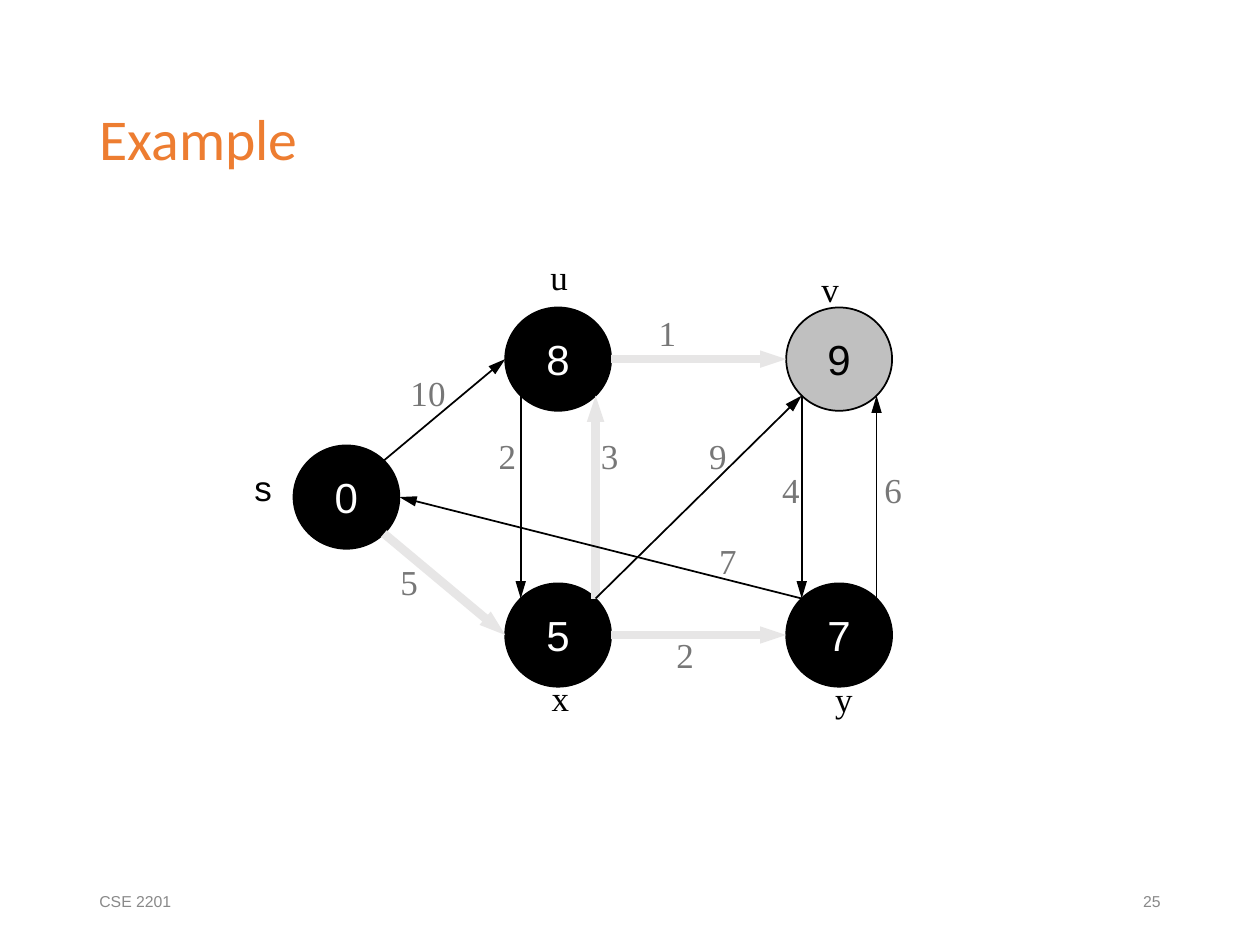
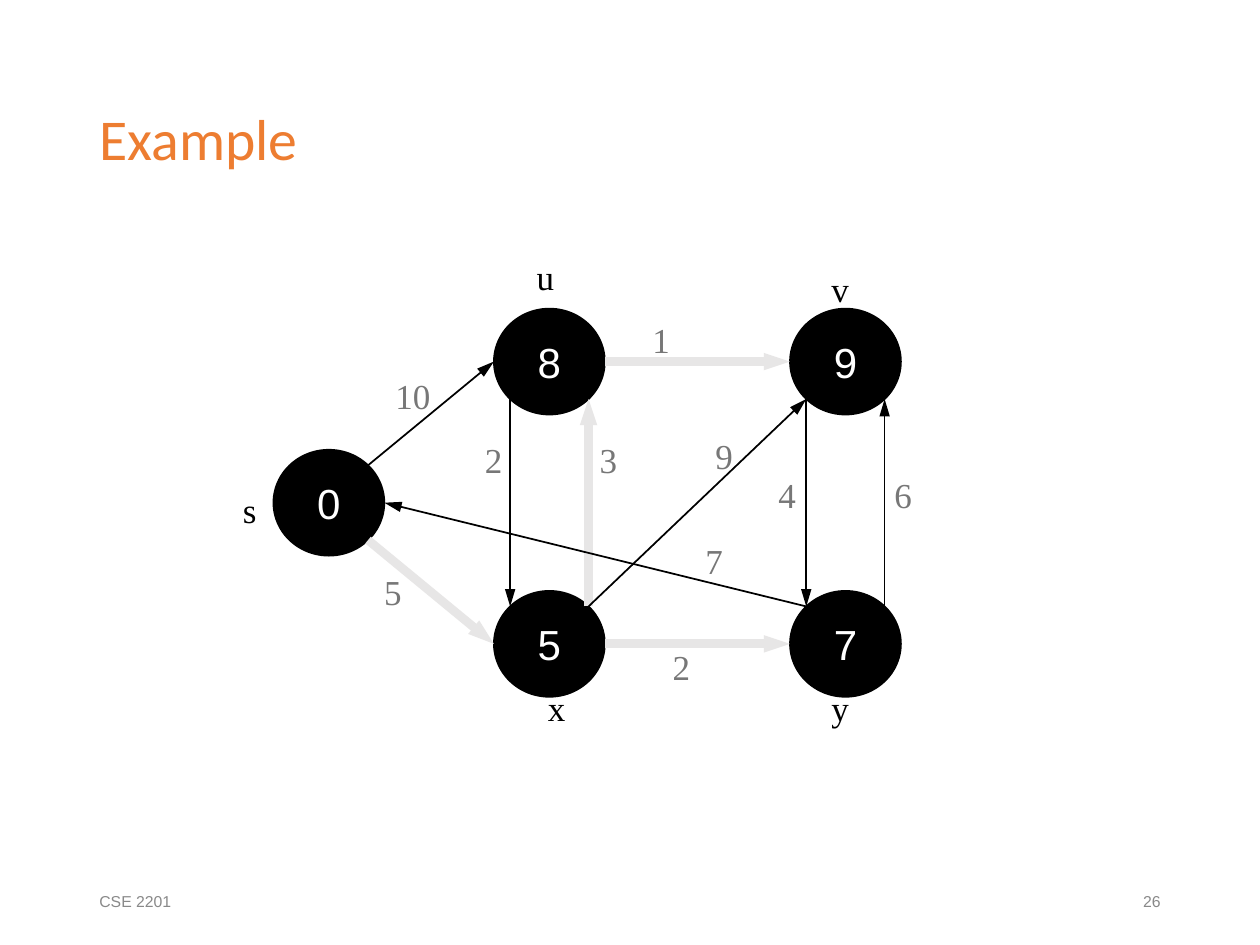
from dataclasses import dataclass
from math import sqrt

from lxml.etree import SubElement
from pptx import Presentation
from pptx.dml.color import RGBColor
from pptx.enum.shapes import MSO_CONNECTOR, MSO_SHAPE
from pptx.enum.text import MSO_ANCHOR, PP_ALIGN
from pptx.oxml.ns import qn
from pptx.util import Inches, Pt

# Colours and fonts
BLACK, WHITE, GRAY = "000000", "FFFFFF", "C0C0C0"
ORANGE, FOOTER_GRAY, WEIGHT_GRAY, TREE_GRAY = "ED7D31", "898989", "777777", "E7E6E6"
SANS, SERIF, TITLE_FONT = "Arial", "Times New Roman", "Calibri"

# Ports on a vertex, as fractions of its radii
DIAGONAL = 1 / sqrt(2)
PORTS = {
    "left": (-1, 0), "right": (1, 0),
    "top left": (-DIAGONAL, -DIAGONAL), "top right": (DIAGONAL, -DIAGONAL),
    "bottom left": (-DIAGONAL, DIAGONAL), "bottom right": (DIAGONAL, DIAGONAL),
}

# Start vertex, port, end vertex, port, weight, part of the shortest-path tree
EDGES = [
    ("x", "top right", "u", "bottom right", "3", True),
    ("u", "bottom left", "x", "top left", "2", False),
    ("u", "right", "v", "left", "1", True),
    ("x", "top right", "v", "bottom left", "9", False),
    ("v", "bottom left", "y", "top left", "4", False),
    ("y", "top right", "v", "bottom right", "6", False),
    ("x", "right", "y", "left", "2", True),
    ("y", "top left", "s", "right", "7", False),
    ("s", "bottom right", "x", "left", "5", True),
    ("s", "top right", "u", "left", "10", False),
]
WIDE_WEIGHTS = ("su", "sx", "uv")
DISTANCES = {"u": "8", "v": "9", "x": "5", "y": "7", "s": "0"}


@dataclass
class Step:
    """One state of the graph: vertex grid, label places and current vertex."""
    number: str
    size: tuple
    columns: tuple      # left edges of s, u/x and v/y
    rows: tuple         # top edges of the upper and lower row
    label_width: float
    names: dict
    weights: dict
    current: str = ""
    source_width: float = 0
    source_font: str = SERIF

    def vertices(self):
        source, middle, last = self.columns
        upper, lower = self.rows
        return {"u": (middle, upper), "v": (last, upper),
                "x": (middle, lower), "y": (last, lower),
                "s": (source, (upper + lower) / 2)}


STEPS = [
    Step("25", (0.84, 0.82), (2.33, 4.01, 6.24), (2.44, 4.63), 0.56,
         names={"u": (4.27, 1.98), "v": (6.42, 2.07), "x": (4.28, 5.32),
                "y": (6.53, 5.33), "s": (1.92, 3.65)},
         weights={"su": (3.16, 2.9), "sx": (3.08, 4.4), "uv": (5.13, 2.42),
                  "ux": (3.86, 3.4), "xu": (4.67, 3.4), "xv": (5.53, 3.4),
                  "vy": (6.11, 3.67), "yv": (6.92, 3.67), "ys": (5.61, 4.23),
                  "xy": (5.27, 4.98)},
         current="v", source_width=0.33, source_font=SANS),
    Step("26", (0.88, 0.84), (2.17, 3.92, 6.27), (2.45, 4.69), 0.59,
         names={"u": (4.16, 1.98), "v": (6.5, 2.07), "x": (4.25, 5.4),
                "y": (6.5, 5.4), "s": (1.83, 3.83)},
         weights={"su": (3.04, 2.92), "sx": (2.95, 4.48), "uv": (5.08, 2.48),
                  "ux": (3.75, 3.43), "xu": (4.66, 3.43), "xv": (5.58, 3.4),
                  "vy": (6.08, 3.71), "yv": (7, 3.71), "ys": (5.5, 4.23),
                  "xy": (5.24, 5.07)}),
]


def color(hex_string):
    return RGBColor.from_string(hex_string)


def write(frame, text, size=20, font=SERIF, fill=BLACK, align=PP_ALIGN.LEFT,
          anchor=MSO_ANCHOR.TOP, wrap=True, spacing=None):
    frame.word_wrap = wrap
    frame.vertical_anchor = anchor
    paragraph = frame.paragraphs[0]
    paragraph.alignment = align
    paragraph.line_spacing = spacing
    run = paragraph.add_run()
    run.text = text
    run.font.size = Pt(size)
    run.font.name = font
    run.font.color.rgb = color(fill)


class GraphDeck:
    def __init__(self):
        self.deck = Presentation()
        self.deck.slide_width, self.deck.slide_height = Inches(10), Inches(7.5)
        self.shapes = None

    def new_slide(self, title, course, number):
        self.shapes = self.deck.slides.add_slide(self.deck.slide_layouts[6]).shapes
        self.text(title, 0.69, 0.4, 8.63, 1.45, size=33, font=TITLE_FONT,
                  fill=ORANGE, anchor=MSO_ANCHOR.MIDDLE, spacing=0.9)
        for words, left, align in ((course, 0.69, PP_ALIGN.LEFT),
                                   (number, 7.06, PP_ALIGN.RIGHT)):
            self.text(words, left, 6.95, 2.25, 0.4, size=9, font=SANS,
                      fill=FOOTER_GRAY, align=align, anchor=MSO_ANCHOR.MIDDLE)

    def text(self, words, left, top, width, height=0.44, **style):
        box = self.shapes.add_textbox(*map(Inches, (left, top, width, height)))
        write(box.text_frame, words, **style)

    def vertex(self, distance, place, size, current):
        circle = self.shapes.add_shape(MSO_SHAPE.OVAL, *map(Inches, place + size))
        circle.shadow.inherit = False
        circle.fill.solid()
        circle.fill.fore_color.rgb = color(GRAY if current else BLACK)
        circle.line.color.rgb = color(BLACK)
        circle.line.width = Pt(1)
        write(circle.text_frame, distance, size=24, font=SANS,
              fill=BLACK if current else WHITE, align=PP_ALIGN.CENTER,
              anchor=MSO_ANCHOR.MIDDLE, wrap=False)

    def arrow(self, start, end, in_tree):
        edge = self.shapes.add_connector(MSO_CONNECTOR.STRAIGHT,
                                         *map(Inches, start + end))
        edge.line.color.rgb = color(TREE_GRAY if in_tree else BLACK)
        edge.line.width = Pt(5 if in_tree else 1)
        head_width, head_length = ("sm", "med") if in_tree else ("med", "lg")
        SubElement(edge.line._get_or_add_ln(), qn("a:tailEnd"),
                   type="triangle", w=head_width, len=head_length)
        SubElement(edge._element.spPr, qn("a:effectLst"))

    def graph(self, step):
        vertices = step.vertices()

        def port(vertex, side):
            return tuple(start + extent * (1 + shift) / 2 for start, extent, shift
                         in zip(vertices[vertex], step.size, PORTS[side]))

        # Vertices with their distances
        for name, place in vertices.items():
            self.vertex(DISTANCES[name], place, step.size, name == step.current)

        # Edges, then their weights
        for start, exit_side, end, entry_side, _, in_tree in EDGES:
            self.arrow(port(start, exit_side), port(end, entry_side), in_tree)
        for start, _, end, _, weight, _ in EDGES:
            pair = start + end
            width = step.label_width * (1.5 if pair in WIDE_WEIGHTS else 1)
            self.text(weight, *step.weights[pair], width, fill=WEIGHT_GRAY)

        # Vertex names
        for name, place in step.names.items():
            if name == "s" and step.source_width:
                self.text(name, *place, step.source_width, font=step.source_font,
                          align=PP_ALIGN.CENTER)
            else:
                self.text(name, *place, step.label_width)


def main():
    builder = GraphDeck()
    for step in STEPS:
        builder.new_slide("Example", "CSE 2201", step.number)
        builder.graph(step)
    builder.deck.save("out.pptx")


if __name__ == "__main__":
    main()
